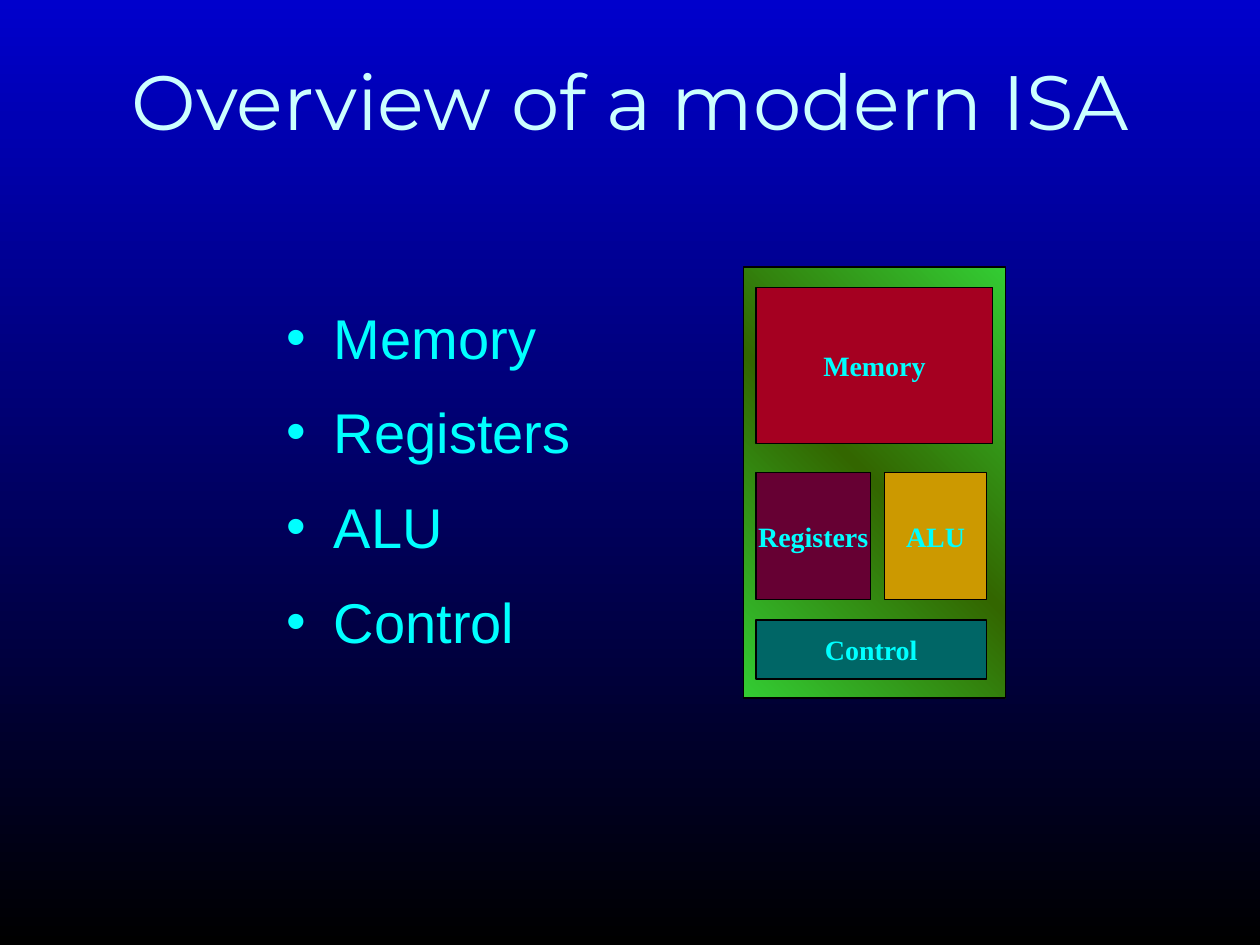
from lxml import etree
from pptx import Presentation
from pptx.dml.color import RGBColor
from pptx.enum.shapes import MSO_SHAPE as SHAPE
from pptx.enum.text import MSO_ANCHOR as ANCHOR, MSO_AUTO_SIZE as AUTO, PP_ALIGN as ALIGN
from pptx.oxml.ns import qn
from pptx.util import Inches, Pt

# Content
TITLE = "Overview of a modern ISA"
PARTS = ["Memory", "Registers", "ALU", "Control"]
CYAN = "00FFFF"
BACKGROUND = [(0, "0000CC"), (100, "000000")]
CHIP_STOPS = [(0, "33CC33"), (50, "336600"), (100, "33CC33")]
CHIP_BOX = (5.9, 2.12, 2.08, 3.42)
BLOCKS = {  # name: (box, fill)
    "Memory": ((6, 2.28, 1.88, 1.24), "A50021"),
    "Registers": ((6, 3.75, 0.91, 1.01), "660033"),
    "ALU": ((7.02, 3.75, 0.81, 1.01), "CC9900"),
    "Control": ((6, 4.92, 1.83, 0.47), "006666"),
}


def rgb(color):
    return RGBColor.from_string(color)


def add_run(p, text, size, font, color, bold=False):
    r = p.add_run()
    r.text = text
    r.font.size, r.font.name, r.font.bold = Pt(size), font, bold
    r.font.color.rgb = rgb(color)


def set_gradient(fill, owner, stops, angle):
    """Fill with the given stops; angle runs clockwise in degrees."""
    fill.gradient()
    grad = next(owner.element.iter(qn("a:gradFill")))
    gs_list = grad.find(qn("a:gsLst"))
    for gs in list(gs_list):
        gs_list.remove(gs)
    for pos, color in stops:
        gs = etree.SubElement(gs_list, qn("a:gs"), pos=str(pos * 1000))
        etree.SubElement(gs, qn("a:srgbClr"), val=color)
    grad.find(qn("a:lin")).set("ang", str(angle * 60000))


def place(sp, box):
    sp.left, sp.top, sp.width, sp.height = map(Inches, box)


def add_rect(s, box):
    sp = s.shapes.add_shape(SHAPE.RECTANGLE, *map(Inches, box))
    sp.shadow.inherit = False
    sp.line.color.rgb = rgb("000000")
    sp.line.width = Pt(0.75)
    return sp


def set_bullet(p, char, color, indent):
    pPr = p._p.get_or_add_pPr()
    pPr.set("marL", str(Inches(indent)))
    pPr.set("indent", str(-Inches(indent)))
    bu_clr = etree.SubElement(pPr, qn("a:buClr"))
    etree.SubElement(bu_clr, qn("a:srgbClr"), val=color)
    etree.SubElement(pPr, qn("a:buFont"), typeface="Arial")
    etree.SubElement(pPr, qn("a:buChar"), char=char)


prs = Presentation()
prs.slide_width, prs.slide_height = Inches(10), Inches(7.5)
s = prs.slides.add_slide(prs.slide_layouts[1])
set_gradient(s.background.fill, s, BACKGROUND, 90)

# Title
title = s.shapes.title
place(title, (0.42, 0.17, 9.17, 1.25))
tf = title.text_frame
tf.auto_size, tf.vertical_anchor = AUTO.NONE, ANCHOR.MIDDLE
p = tf.paragraphs[0]
p.alignment = ALIGN.CENTER
add_run(p, TITLE, 44, "Montserrat", "CCFFFF")

# Bullet list
body = s.placeholders[1]
place(body, (2.17, 2.25, 7.42, 4.67))
tf = body.text_frame
tf.auto_size, tf.vertical_anchor = AUTO.NONE, ANCHOR.TOP
for i, name in enumerate(PARTS):
    p = tf.add_paragraph() if i else tf.paragraphs[0]
    p.line_spacing, p.space_before = 1.2, Pt(8)
    set_bullet(p, "•", CYAN, 0.38)
    add_run(p, name, 32, "Arial", CYAN)

# Processor diagram
chip = add_rect(s, CHIP_BOX)
set_gradient(chip.fill, chip, CHIP_STOPS, 135)
for name, (box, color) in BLOCKS.items():
    sp = add_rect(s, box)
    sp.fill.solid()
    sp.fill.fore_color.rgb = rgb(color)
    tf = sp.text_frame
    tf.word_wrap, tf.vertical_anchor = False, ANCHOR.MIDDLE
    p = tf.paragraphs[0]
    p.alignment = ALIGN.CENTER
    add_run(p, name, 16, "Times New Roman", CYAN, bold=True)

prs.save("out.pptx")
